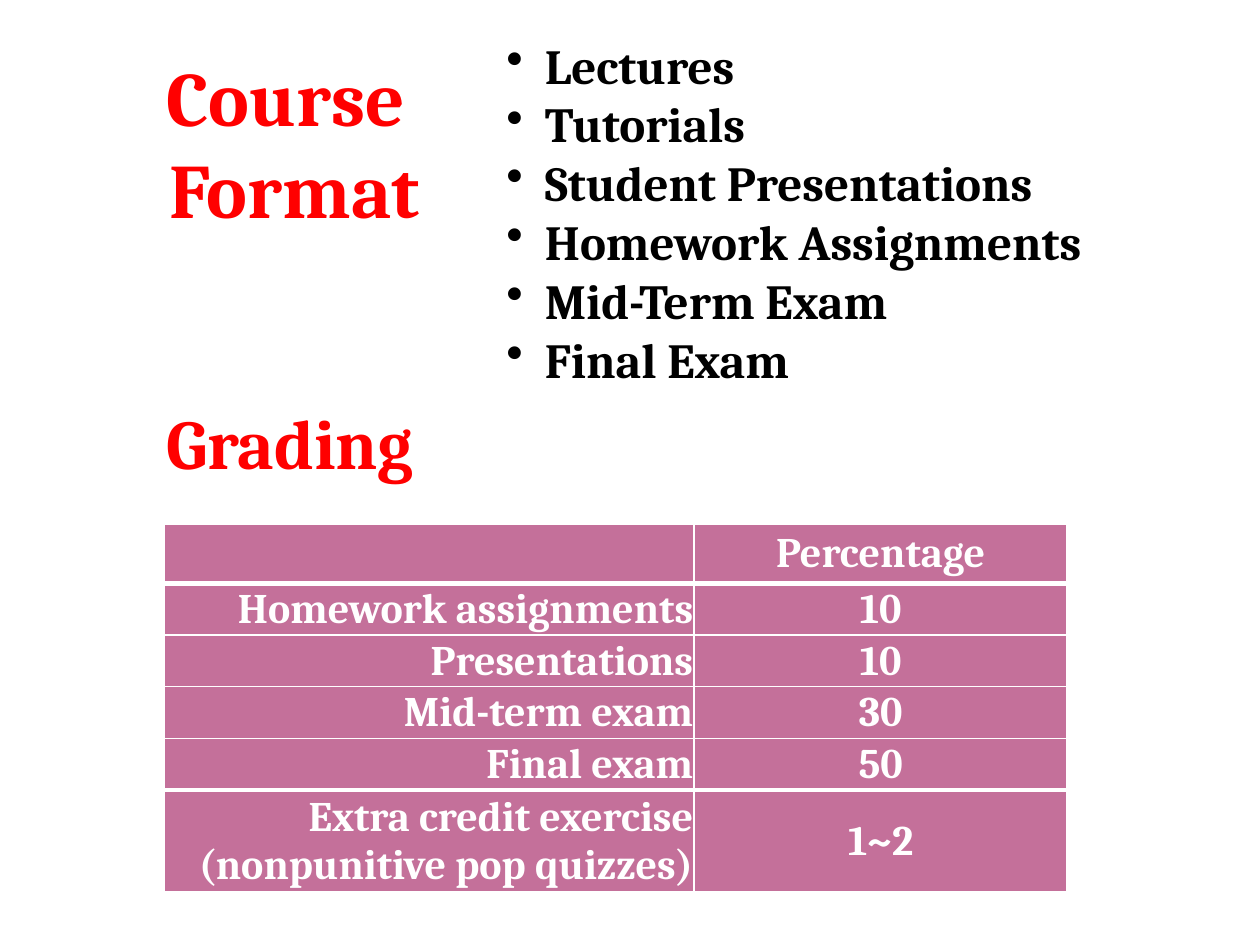
import pptx
import pptx.chart.data
import pptx.dml.color
import pptx.enum.text
import pptx.oxml
import pptx.oxml.ns
import pptx.util

Inches = pptx.util.Inches
Pt = pptx.util.Pt
ALIGN = pptx.enum.text.PP_ALIGN
ANCHOR = pptx.enum.text.MSO_ANCHOR
COLORS = {"head": "FF0000", "body": "000000", "cell": "C4709A", "line": "FFFFFF"}
TOPICS = ["Lectures", "Tutorials", "Student Presentations",
          "Homework Assignments", "Mid-Term Exam", "Final Exam"]
GRADES = [("", "Percentage"), ("Homework assignments", "10"),
          ("Presentations", "10"), ("Mid-term exam", "30"), ("Final exam", "50"),
          ("Extra credit exercise (nonpunitive pop quizzes)", "1~2")]


def color(name):
    return pptx.dml.color.RGBColor.from_string(COLORS[name])


def write(frame, lines, size=24, ink="body", align=ALIGN.LEFT, bullet=None):
    """Fill a text frame with one paragraph per line."""
    frame.word_wrap = True
    for i, line in enumerate(lines):
        para = frame.paragraphs[0] if i == 0 else frame.add_paragraph()
        para.alignment = align
        font = para.font
        if line:
            run = para.add_run()
            run.text = line
            font = run.font
        font.name, font.size, font.bold = "Cambria", Pt(size), True
        font.color.rgb = color(ink)
        if bullet:
            props = para._p.get_or_add_pPr()
            props.set("marL", str(Inches(0.22)))
            props.set("indent", str(-Inches(0.22)))
            mark = pptx.oxml.parse_xml(
                f'<a:buChar {pptx.oxml.ns.nsdecls("a")} char="{bullet}"/>')
            props.append(mark)


def edge(cell, **widths):
    """Draw cell borders; keys are sides, values are widths in points."""
    props = cell._tc.get_or_add_tcPr()
    for i, side in enumerate("LRTB"):
        width = widths.get(side, 1)
        line = pptx.oxml.parse_xml(
            f'<a:ln{side} {pptx.oxml.ns.nsdecls("a")} w="{Pt(width)}">'
            f'<a:solidFill><a:srgbClr val="{COLORS["line"]}"/></a:solidFill>'
            f'</a:ln{side}>')
        props.insert(i, line)


class Deck:
    """Holds the presentation and the current slide."""

    def __init__(self):
        self.file = pptx.Presentation()
        self.file.slide_width = Inches(10)
        self.file.slide_height = Inches(7.5)
        self.slide = self.file.slides.add_slide(self.file.slide_layouts[5])

    def title(self, lines, x, y, w, h, **style):
        shape = self.slide.shapes.title
        shape.left, shape.top = Inches(x), Inches(y)
        shape.width, shape.height = Inches(w), Inches(h)
        frame = shape.text_frame
        frame.auto_size = pptx.enum.text.MSO_AUTO_SIZE.NONE
        frame.vertical_anchor = ANCHOR.BOTTOM
        write(frame, lines, **style)

    def text(self, lines, x, y, w, h, **style):
        box = self.slide.shapes.add_textbox(
            Inches(x), Inches(y), Inches(w), Inches(h))
        write(box.text_frame, lines, **style)

    def table(self, rows, x, y, widths, heights):
        table = self.slide.shapes.add_table(
            len(rows), len(widths), Inches(x), Inches(y),
            Inches(sum(widths)), Inches(sum(heights))).table
        for col, width in zip(table.columns, widths):
            col.width = Inches(width)
        last = len(rows) - 1
        for r, row in enumerate(rows):
            table.rows[r].height = Inches(heights[r])
            for c, words in enumerate(row):
                cell = table.cell(r, c)
                cell.fill.solid()
                cell.fill.fore_color.rgb = color("cell")
                cell.vertical_anchor = ANCHOR.MIDDLE
                cell.margin_left = cell.margin_right = Inches(0.01)
                cell.margin_top, cell.margin_bottom = Inches(0.01), 0
                edge(cell, T=3 if r in (1, last) else 1,
                     B=3 if r in (0, last - 1) else 1)
                write(cell.text_frame, [words], ink="line",
                      align=ALIGN.CENTER if c else ALIGN.RIGHT)


def main():
    deck = Deck()
    deck.title(["Course", " Format"], 0.67, 0.61, 3.2, 1.3,
               size=44, ink="head", align=ALIGN.CENTER)
    deck.text(["Grading"], 1.22, 3.12, 3.67, 0.77, size=40, ink="head")
    deck.table(GRADES, 1.3, 4.16, [4.21, 2.96], [0.47] + [0.41] * 4 + [0.81])
    deck.text([" " + topic for topic in TOPICS], 3.92, 0.23, 5.09, 2.93,
              size=28, bullet="•")
    deck.file.save("out.pptx")


if __name__ == "__main__":
    main()
